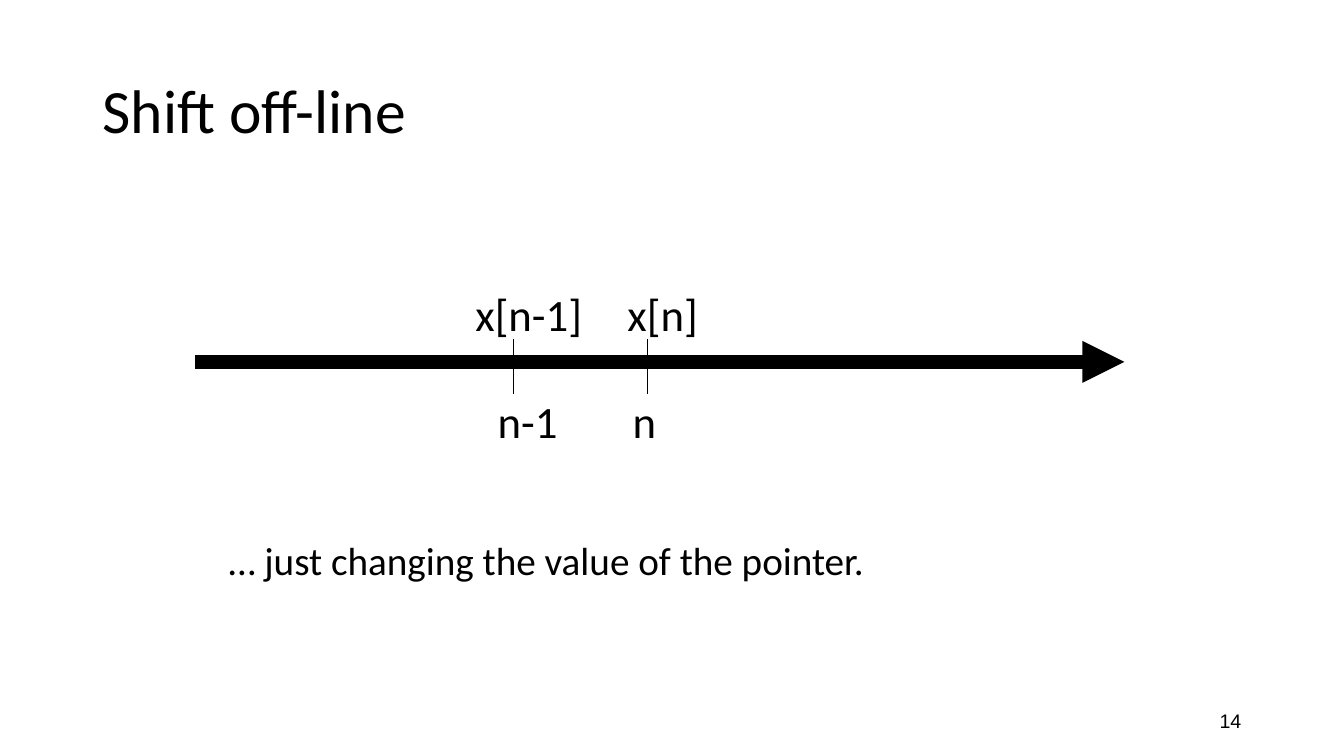
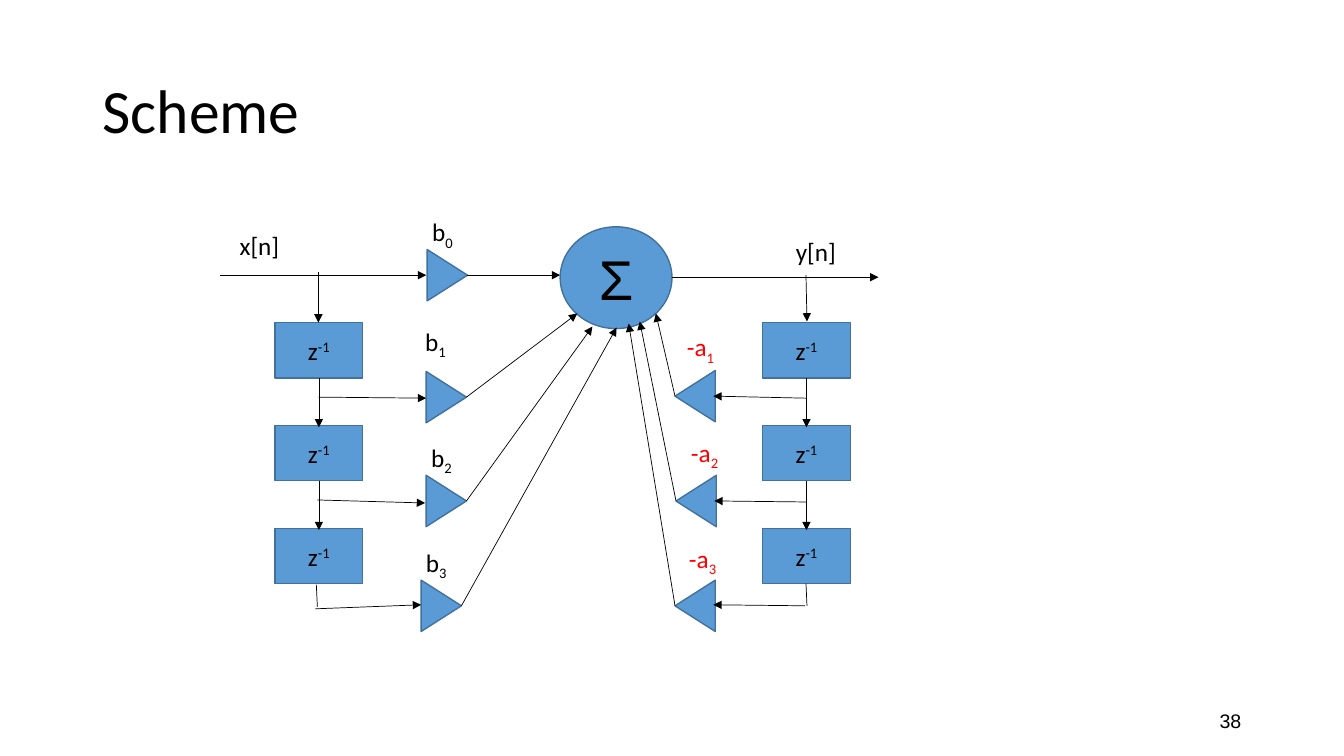
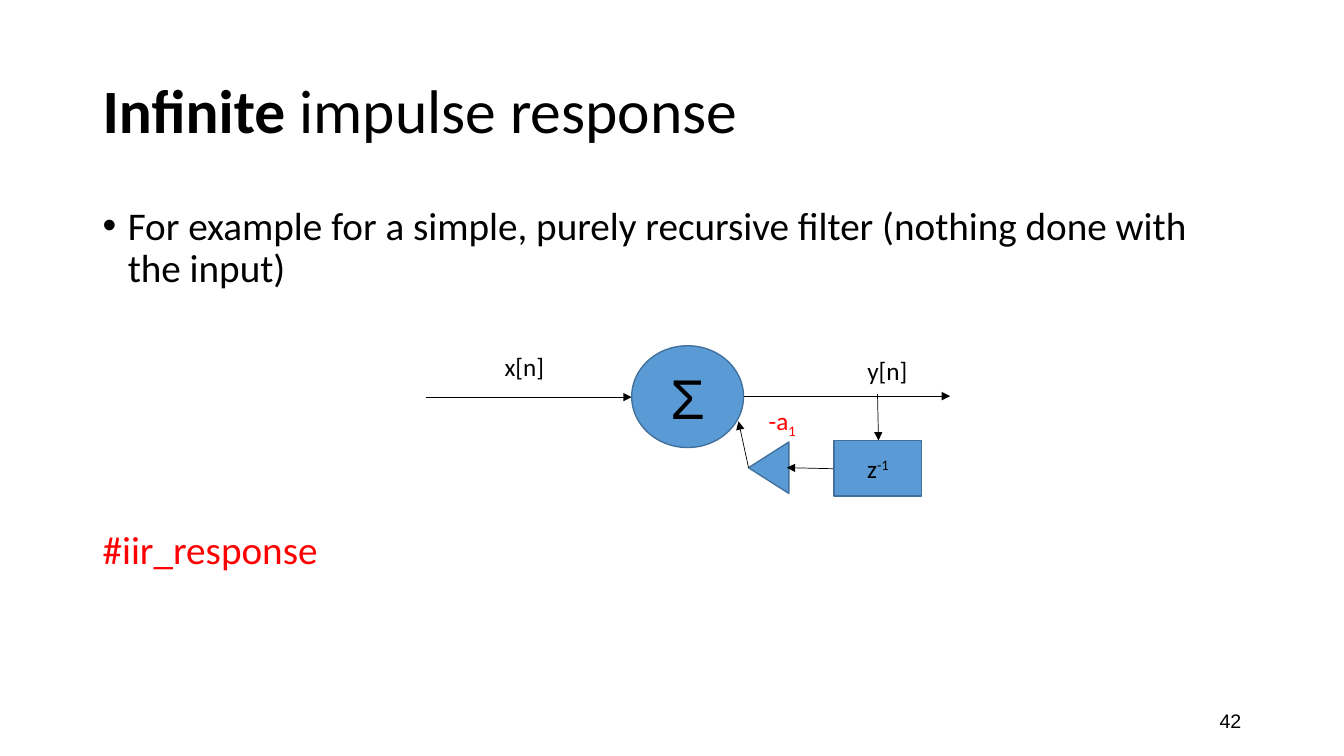
from lxml.etree import SubElement
from pptx import Presentation
from pptx.dml.color import RGBColor
from pptx.enum.shapes import MSO_CONNECTOR, MSO_SHAPE as SHAPE
from pptx.enum.text import MSO_ANCHOR as ANCHOR, PP_ALIGN as ALIGN
from pptx.oxml.ns import qn
from pptx.util import Inches, Pt

COLORS = {"ink": "000000", "accent": "FF0000", "block": "5B9BD5", "edge": "41719C"}
SUB, SUPER = -25000, 30000
THIN = 0.5

# Text styles: font, size, colour and paragraph settings
BASE = {"font": "Calibri", "size": 18, "color": "ink", "anchor": ANCHOR.TOP,
        "align": ALIGN.LEFT, "spacing": 1.0, "bullet": False}
CENTERED = {"align": ALIGN.CENTER, "anchor": ANCHOR.MIDDLE}
STYLES = {
    "title": {"size": 44, "anchor": ANCHOR.MIDDLE, "spacing": 0.9},
    "number": {"font": "Arial", "size": 14, "align": ALIGN.RIGHT, "anchor": ANCHOR.MIDDLE},
    "body": {"size": 28, "spacing": 0.9},
    "bullet": {"size": 28, "spacing": 0.9, "bullet": True},
    "hashtag": {"size": 28, "spacing": 0.9, "color": "accent"},
    "axis": {"size": 32},
    "signal": {},
    "feedback": {"color": "accent"},
    "delay": CENTERED,
    "sum": {**CENTERED, "font": "Arial", "size": 40},
}

# Runs are (text, font attributes, baseline shift)
TITLES = {
    14: [("Shift off-line", {}, 0)],
    38: [("Scheme", {}, 0)],
    42: [("Infinite ", {"bold": True}, 0), ("impulse response", {}, 0)],
}
DELAY = [("z", {}, 0), ("-1", {}, SUPER)]

# Shift: tick x, then (text, left, width) of the label above and below
TICKS = [
    (5.1, ("x[n-1]", 4.62, 1.35), ("n-1", 4.84, 0.88)),
    (6.43, ("x[n]", 6.13, 1.18), ("n", 6.18, 0.51)),
]
CAPTION = "… just changing the value of the pointer."

# Scheme: gain centre, label corner, wire into the gain, end of the wire to the sum
FORWARD = [
    ((4.44, 2.73), (4.19, 2.1), ((2.18, 2.73), (4.23, 2.73)), (5.56, 2.73)),
    ((4.43, 3.94), (4.12, 3.19), ((3.16, 3.94), (4.23, 3.95)), (5.73, 3.11)),
    ((4.43, 4.97), (4.18, 4.34), ((3.15, 4.96), (4.22, 4.99)), (5.88, 3.24)),
    ((4.38, 6.01), (4.13, 5.38), ((3.13, 6.04), (4.18, 6.0)), (6.12, 3.25)),
]
FEEDBACK = [
    ((6.9, 3.93), (6.72, 3.24), ((8.0, 3.95), (7.08, 3.93)), (6.51, 3.11)),
    ((6.91, 4.97), (6.76, 4.29), ((8.0, 4.98), (7.09, 4.97)), (6.35, 3.19)),
    ((6.9, 6.01), (6.74, 5.34), ((7.99, 6.01), (7.08, 6.0)), (6.24, 3.21)),
]
DELAY_STEP, DELAY_SIZE = 1.02, (0.87, 0.55)
FORWARD_CHAIN, FEEDBACK_CHAIN = (2.73, 3.2), (7.57, 3.2)
TAILS = [((3.14, 5.8), (3.15, 6.02)), ((8.0, 5.79), (8.01, 6.01))]

# Recursive filter: the output stage moved from its place in the scheme
MOVED = (0.71, 1.18)
RECURSION = ((7.63, 4.64), (7.53, 3.97), ((8.27, 4.65), (7.81, 4.64)), (7.33, 4.18))
EXAMPLE = "For example for a simple, purely recursive filter (nothing done with the input)"

GAIN_SIZE = (0.51, 0.4)


def rgb(name):
    return RGBColor.from_string(COLORS[name])


def write(shape, content, style):
    """Fill a shape with one paragraph: plain text or a list of runs."""
    look = {**BASE, **STYLES[style]}
    frame = shape.text_frame
    frame_format = {"word_wrap": True, "vertical_anchor": look["anchor"],
                    "margin_left": Inches(0.1), "margin_right": Inches(0.1),
                    "margin_top": Inches(0.05), "margin_bottom": Inches(0.05)}
    for key, value in frame_format.items():
        setattr(frame, key, value)
    paragraph = frame.paragraphs[0]
    paragraph.alignment = look["align"]
    paragraph.line_spacing = look["spacing"]
    if look["bullet"]:
        props = paragraph._p.get_or_add_pPr()
        props.set("marL", str(Inches(0.25)))
        props.set("indent", str(-Inches(0.25)))
        SubElement(props, qn("a:buFont")).set("typeface", "Arial")
        SubElement(props, qn("a:buChar")).set("char", "•")
    runs = [(content, {}, 0)] if isinstance(content, str) else content
    for text, extra, shift in runs:
        run = paragraph.add_run()
        run.text = text
        font_format = {"name": look["font"], "size": Pt(look["size"]), **extra}
        for key, value in font_format.items():
            setattr(run.font, key, value)
        run.font.color.rgb = rgb(look["color"])
        if shift:
            run._r.get_or_add_rPr().set("baseline", str(shift))


def add_text(slide, content, style, left, top, width, height):
    box = slide.shapes.add_textbox(*map(Inches, (left, top, width, height)))
    write(box, content, style)


def add_block(slide, kind, left, top, size):
    block = slide.shapes.add_shape(kind, *map(Inches, (left, top, *size)))
    block.shadow.inherit = False
    block.fill.solid()
    block.fill.fore_color.rgb = rgb("block")
    block.line.color.rgb = rgb("edge")
    block.line.width = Pt(1)
    return block


def add_wire(slide, start, end, width=THIN, arrow=True):
    wire = slide.shapes.add_connector(MSO_CONNECTOR.STRAIGHT, *map(Inches, (*start, *end)))
    wire.line.color.rgb = rgb("ink")
    wire.line.width = Pt(width)
    if arrow:
        SubElement(wire.line._get_or_add_ln(), qn("a:tailEnd")).set("type", "triangle")
    SubElement(wire._element.spPr, qn("a:effectLst"))


def add_delay(slide, left, top):
    write(add_block(slide, SHAPE.RECTANGLE, left, top, DELAY_SIZE), DELAY, "delay")


def add_branch(slide, branch, symbol, index, side):
    """Draw one gain with its label and its wires; side is 1 when it points right."""
    (x, y), label, feed, target = branch
    width, height = GAIN_SIZE
    gain = add_block(slide, SHAPE.FLOWCHART_EXTRACT, x - width / 2, y - height / 2, GAIN_SIZE)
    gain.rotation = 90 if side > 0 else 270
    add_wire(slide, *feed)
    add_wire(slide, (x + side * height / 2, y), target)
    runs = [(symbol, {}, 0), (str(index), {}, SUB)]
    style, room = ("signal", 0.45) if side > 0 else ("feedback", 0.55)
    add_text(slide, runs, style, *label, room, 0.44)


def add_chain(slide, left, top, count):
    """Stack delays and join each one to the next."""
    middle = left + DELAY_SIZE[0] / 2
    for row in range(count):
        y = top + row * DELAY_STEP
        add_delay(slide, left, y)
        if row:
            add_wire(slide, (middle, y - DELAY_STEP + DELAY_SIZE[1]), (middle, y + 0.02))


def add_output(slide, dx=0, dy=0):
    """Draw the sum, the output arrow and the wire down to the first delay."""
    adder = add_block(slide, SHAPE.OVAL, 5.56 + dx, 2.25 + dy, (1.11, 1.01))
    write(adder, "Σ", "sum")
    add_wire(slide, (6.67 + dx, 2.75 + dy), (8.72 + dx, 2.75 + dy))
    add_wire(slide, (8 + dx, 2.73 + dy), (8.01 + dx, 3.19 + dy))
    add_text(slide, "y[n]", "signal", 7.8 + dx, 2.3 + dy, 0.92, 0.4)


def draw_shift(slide):
    add_wire(slide, (1.94, 3.59), (11.16, 3.59), width=10)
    for x, above, below in TICKS:
        add_wire(slide, (x, 3.36), (x, 3.91), arrow=False)
        for (text, left, width), top in ((above, 2.8), (below, 3.86)):
            add_text(slide, text, "axis", left, top, width, 0.64)
    add_text(slide, CAPTION, "body", 2.17, 5.32, 9, 1.37)


def draw_scheme(slide):
    add_output(slide)
    add_text(slide, "x[n]", "signal", 2.28, 2.24, 0.92, 0.4)
    for chain in (FORWARD_CHAIN, FEEDBACK_CHAIN):
        add_chain(slide, *chain, count=3)
    add_wire(slide, (3.16, 2.7), (3.16, 3.2))
    for index, branch in enumerate(FORWARD):
        add_branch(slide, branch, "b", index, 1)
    for index, branch in enumerate(FEEDBACK, 1):
        add_branch(slide, branch, "-a", index, -1)
    for start, end in TAILS:
        add_wire(slide, start, end, arrow=False)


def draw_response(slide):
    add_text(slide, EXAMPLE, "bullet", 0.92, 2, 11.5, 1)
    add_text(slide, "#iir_response", "hashtag", 0.92, 5.22, 11.5, 0.6)
    add_wire(slide, (4.23, 3.94), (6.27, 3.94))
    add_text(slide, "x[n]", "signal", 4.91, 3.44, 0.92, 0.4)
    add_output(slide, *MOVED)
    add_delay(slide, 8.28, 4.37)
    add_branch(slide, RECURSION, "-a", 1, -1)


def main():
    deck = Presentation()
    deck.slide_width, deck.slide_height = Inches(13.34), Inches(7.5)
    for (number, title), draw in zip(TITLES.items(), (draw_shift, draw_scheme, draw_response)):
        slide = deck.slides.add_slide(deck.slide_layouts[6])
        add_text(slide, title, "title", 0.92, 0.4, 11.5, 1.45)
        draw(slide)
        add_text(slide, str(number), "number", 9.42, 6.95, 3, 0.4)
    deck.save("out.pptx")


if __name__ == "__main__":
    main()
